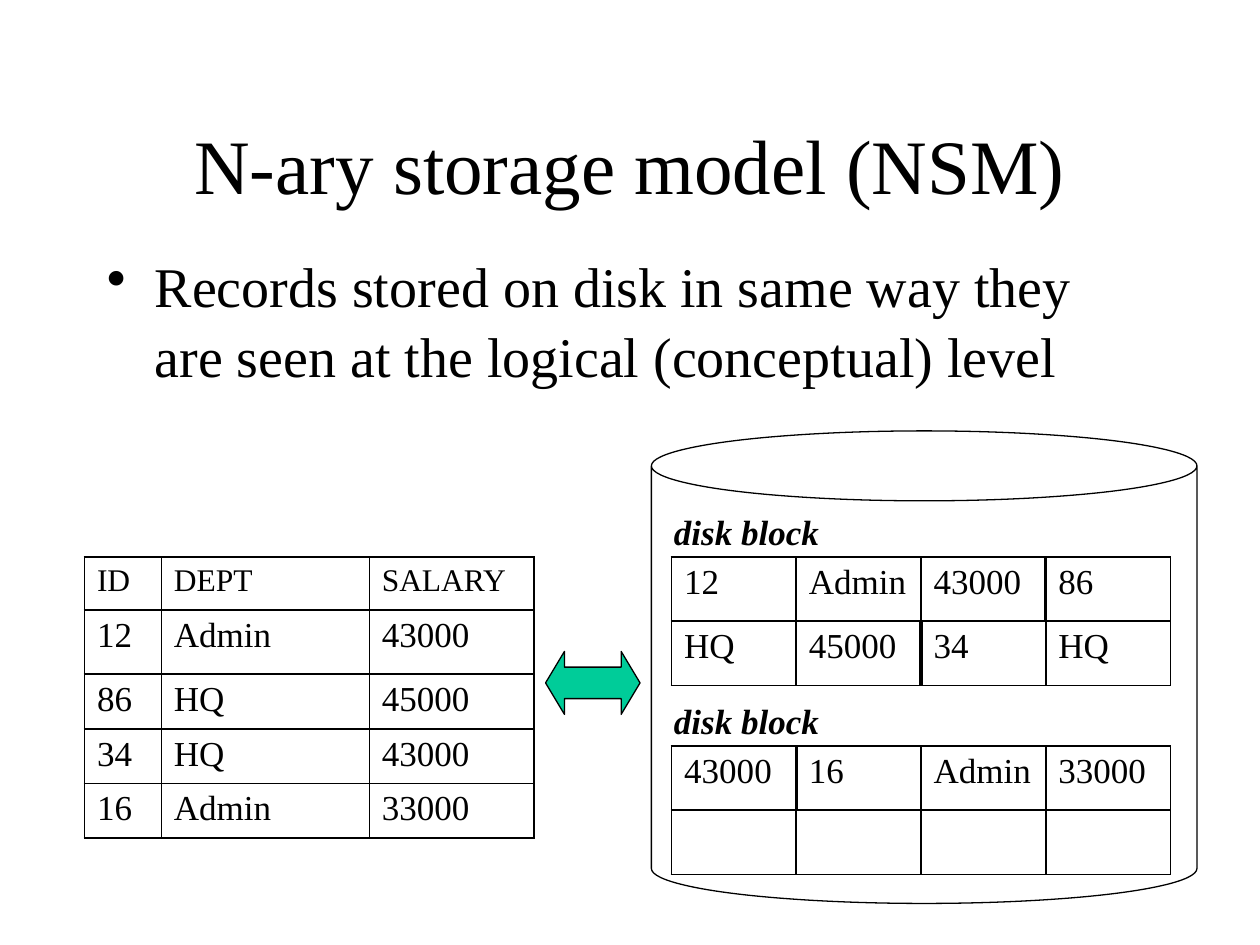
import pptx
import pptx.util
import pptx.dml.color
import pptx.enum.shapes
import pptx.enum.text
from lxml import etree
from pptx.oxml.ns import qn
from pptx.util import Inches, Pt

BLACK = pptx.dml.color.RGBColor(0x00, 0x00, 0x00)
GREEN = pptx.dml.color.RGBColor(0x00, 0xCC, 0x99)
FONT = "Times New Roman"
THIN, RULE, THICK = 0.45, 1.08, 2.21

TITLE = "N-ary storage model (NSM)"
POINT = "Records stored on disk in same way they are seen at the logical (conceptual) level"
BLOCK_LABEL = "disk block"

RECORDS = [
    ("ID", "DEPT", "SALARY"),
    ("12", "Admin", "43000"),
    ("86", "HQ", "45000"),
    ("34", "HQ", "43000"),
    ("16", "Admin", "33000"),
]
RECORD_COLUMNS = (0.61, 1.65, 1.31)
RECORD_ROWS = (0.42, 0.51, 0.43, 0.43, 0.43)

BLOCKS = [
    {"top": 4.42, "record_ends": {(0, 2), (1, 1)},
     "rows": [("12", "Admin", "43000", "86"), ("HQ", "45000", "34", "HQ")]},
    {"top": 5.92, "record_ends": {(0, 0)},
     "rows": [("43000", "16", "Admin", "33000"), ("", "", "", "")]},
]
BLOCK_LEFT, BLOCK_COLUMN, BLOCK_ROW = 5.33, 0.99, 0.51


def style(font, size, bold=False, italic=False):
    font.name, font.size = FONT, Pt(size)
    font.bold, font.italic = bold, italic
    font.color.rgb = BLACK


def add_text(slide, box, text, size, wrap=True, **emphasis):
    frame = slide.shapes.add_textbox(*map(Inches, box)).text_frame
    frame.word_wrap = wrap
    frame.text = text
    style(frame.paragraphs[0].runs[0].font, size, **emphasis)
    return frame


def add_border(cell, side, width):
    line = etree.SubElement(cell._tc.get_or_add_tcPr(), qn("a:" + side), w=str(Pt(width)))
    fill = etree.SubElement(line, qn("a:solidFill"))
    etree.SubElement(fill, qn("a:srgbClr"), val=str(BLACK))


def add_grid(slide, left, top, rows, widths, heights, seam_width, header_size=20):
    box = (left, top, sum(widths), sum(heights))
    table = slide.shapes.add_table(len(rows), len(widths), *map(Inches, box)).table
    table.first_row = table.horz_banding = False
    for column, width in zip(table.columns, widths):
        column.width = Inches(width)
    for row, height in zip(table.rows, heights):
        row.height = Inches(height)
    for r, values in enumerate(rows):
        for c, value in enumerate(values):
            cell = table.cell(r, c)
            add_border(cell, "lnL", seam_width(r, c - 1) if c else RULE)
            add_border(cell, "lnR", seam_width(r, c) if c < len(widths) - 1 else RULE)
            add_border(cell, "lnT", RULE)
            add_border(cell, "lnB", RULE)
            cell.fill.background()
            cell.text = value
            paragraph = cell.text_frame.paragraphs[0]
            font = paragraph.runs[0].font if value else paragraph.font
            style(font, header_size if r == 0 else 20)


def add_outline(slide, kind, box, adjustments):
    shape = slide.shapes.add_shape(kind, *map(Inches, box))
    shape.shadow.inherit = False
    for index, value in enumerate(adjustments):
        shape.adjustments[index] = value
    shape.fill.background()
    shape.line.color.rgb = BLACK
    shape.line.width = Pt(0.75)
    return shape


def main():
    deck = pptx.Presentation()
    deck.slide_width, deck.slide_height = Inches(10), Inches(7.5)
    slide = deck.slides.add_slide(deck.slide_layouts[6])

    title = add_text(slide, (0.75, 0.67, 8.5, 1.25), TITLE, 44)
    title.vertical_anchor = pptx.enum.text.MSO_ANCHOR.MIDDLE
    title.paragraphs[0].alignment = pptx.enum.text.PP_ALIGN.CENTER

    point = add_text(slide, (0.75, 1.92, 8.5, 1.33), POINT, 32).paragraphs[0]
    point.line_spacing = 1.05
    properties = point._p.get_or_add_pPr()
    properties.set("marL", str(Inches(0.38)))
    properties.set("indent", str(Inches(-0.38)))
    etree.SubElement(properties, qn("a:buChar"), char="•")

    add_grid(slide, 0.67, 4.42, RECORDS, RECORD_COLUMNS, RECORD_ROWS,
             lambda r, c: THIN, header_size=18)

    for block in BLOCKS:
        ends = block["record_ends"]
        add_grid(slide, BLOCK_LEFT, block["top"], block["rows"],
                 [BLOCK_COLUMN] * 4, [BLOCK_ROW] * 2,
                 lambda r, c: THICK if (r, c) in ends else RULE)
        add_text(slide, (5.25, block["top"] - 0.42, 1.35, 0.44), BLOCK_LABEL, 20,
                 wrap=False, bold=True, italic=True)

    shapes = pptx.enum.shapes.MSO_SHAPE
    add_outline(slide, shapes.CAN, (5.17, 3.42, 4.33, 3.75), [0.148])
    arrow = add_outline(slide, shapes.LEFT_RIGHT_ARROW, (4.33, 5.17, 0.75, 0.5), [0.5, 0.3])
    arrow.fill.solid()
    arrow.fill.fore_color.rgb = GREEN

    deck.save("out.pptx")


if __name__ == "__main__":
    main()
